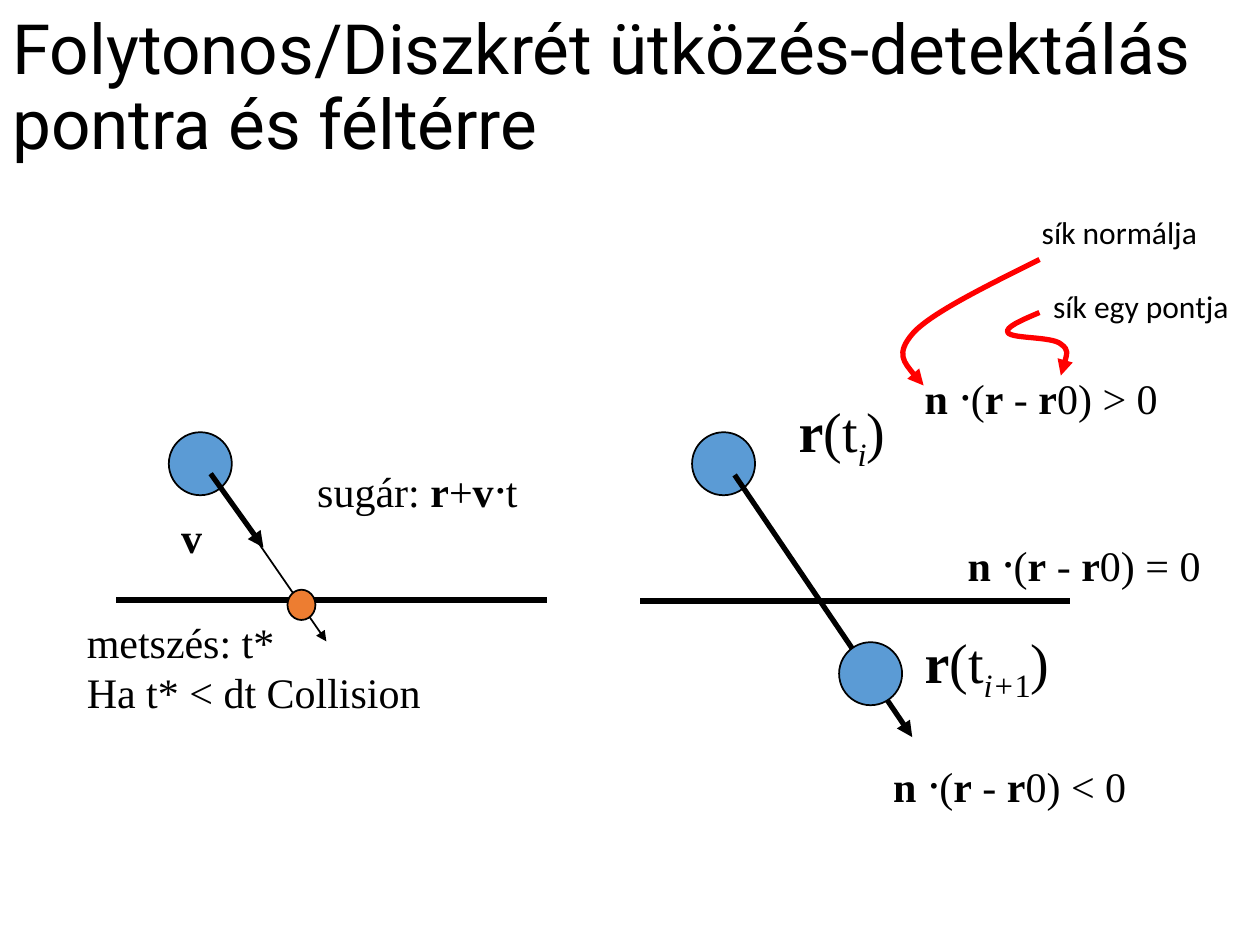
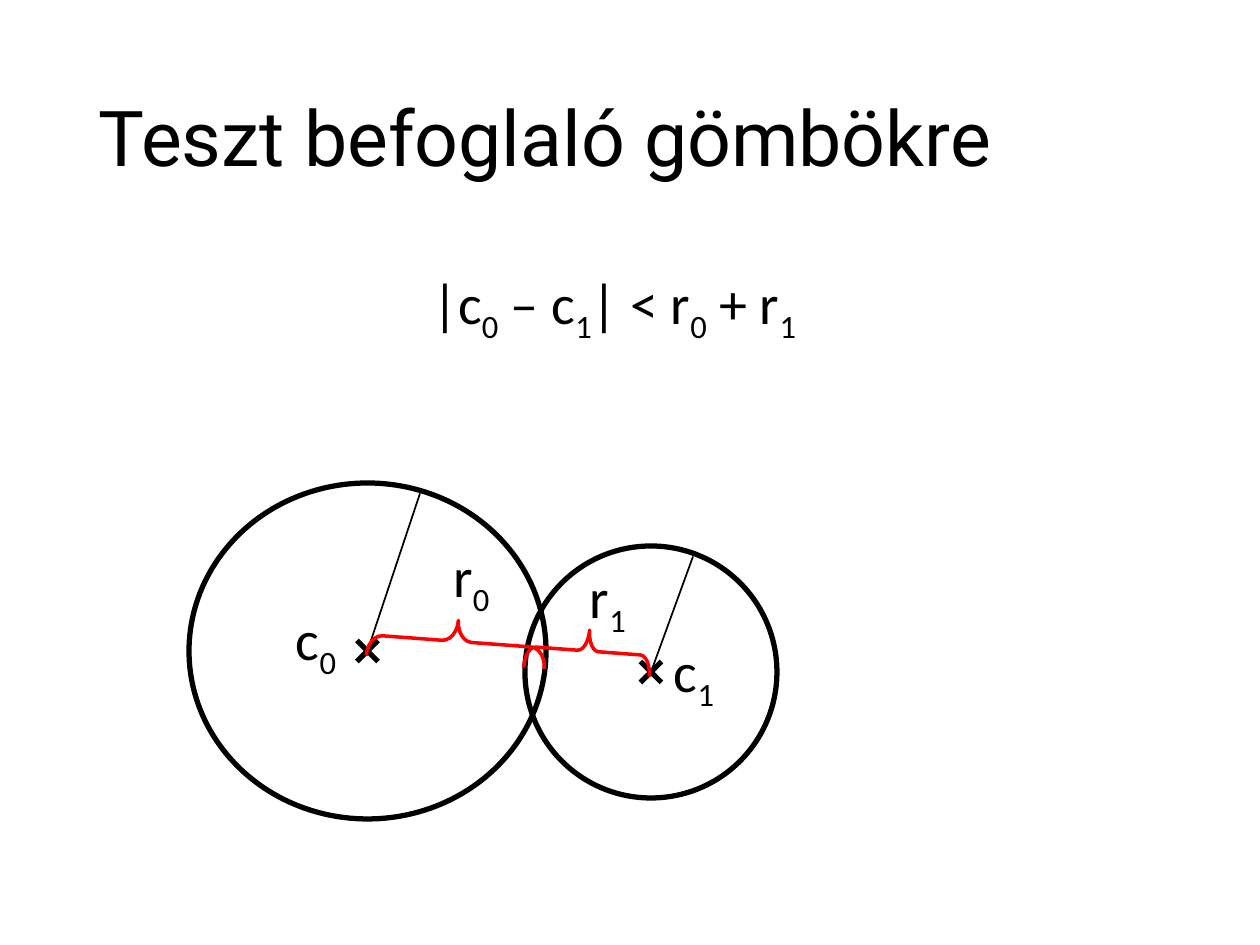
import pptx
import pptx.util
import pptx.dml.color
import pptx.enum.shapes
import pptx.enum.text
import pptx.oxml.ns
import lxml.etree

Pt = pptx.util.Pt
rgb = pptx.dml.color.RGBColor.from_string
qn = pptx.oxml.ns.qn
SHAPE = pptx.enum.shapes.MSO_SHAPE
STRAIGHT = pptx.enum.shapes.MSO_CONNECTOR.STRAIGHT

# Shared look
BLACK, RED, BLUE, ORANGE = "000000", "FF0000", "5B9BD5", "ED7D31"
TITLE, SANS, SERIF = "Roboto", "Calibri", "Times New Roman"
MARKS = {
    "": {},
    "b": {"bold": True},
    "i": {"italic": True},
    "dot": {"italic": True, "size": Pt(28)},
    "sub": {},
    "isub": {"italic": True},
}


def write(slide, box, rows, font, size, title=False):
    """Add a text box; each row is a list of (text, mark) runs."""
    frame = slide.shapes.add_textbox(*map(Pt, box)).text_frame
    frame.word_wrap = title
    if title:
        frame.vertical_anchor = pptx.enum.text.MSO_ANCHOR.MIDDLE
    else:
        frame.auto_size = pptx.enum.text.MSO_AUTO_SIZE.SHAPE_TO_FIT_TEXT
    for n, row in enumerate(rows):
        para = frame.add_paragraph() if n else frame.paragraphs[0]
        if title:
            para.line_spacing = 0.9
        for text, mark in row:
            run = para.add_run()
            run.text = text
            look = {"name": font, "size": Pt(size), "bold": False, "italic": False}
            for key, value in (look | MARKS[mark]).items():
                setattr(run.font, key, value)
            run.font.color.rgb = rgb(BLACK)
            if mark.endswith("sub"):
                run.font._element.set("baseline", "-25000")


def stroke(shape, color, width, arrow=False):
    """Set the outline, drop the shadow and add an arrowhead if wanted."""
    shape.line.color.rgb = rgb(color)
    shape.line.width = Pt(width)
    if arrow:
        line = shape.line._get_or_add_ln()
        lxml.etree.SubElement(line, qn("a:tailEnd"), type="triangle")
    props = shape._element.spPr
    if props.find(qn("a:effectLst")) is None:
        lxml.etree.SubElement(props, qn("a:effectLst"))


deck = pptx.Presentation()
deck.slide_width, deck.slide_height = Pt(720), Pt(540)
blank = deck.slide_layouts[6]

# Slide 1: point against half-space
slide = deck.slides.add_slide(blank)
shapes = slide.shapes
head = "Folytonos/Diszkrét ütközés-detektálás pontra és féltérre"
write(slide, (0, 6, 720, 90), [[(head, "")]], TITLE, 39.6, True)

# Balls (x, y, w, h, fill) and lines (x1, y1, x2, y2, width, arrow), back to front
parts = [
    ("ball", 395.5, 247, 36, 36, BLUE),
    ("line", 419.8, 271.4, 521.3, 421.2, 3, True),
    ("line", 365.8, 343.4, 611.3, 343.4, 3, False),
    ("ball", 479.5, 367, 36, 36, BLUE),
    ("ball", 96.5, 247, 36, 36, BLUE),
    ("line", 120.4, 270.7, 150.5, 312.8, 3, True),
    ("line", 66.4, 342.8, 312.5, 342.8, 3, False),
    ("line", 120.4, 270.7, 186.5, 366.5, 1, True),
    ("ball", 164.3, 337, 16, 17.3, ORANGE),
]
for kind, *spot, last in parts:
    if kind == "ball":
        ball = shapes.add_shape(SHAPE.OVAL, *map(Pt, spot))
        ball.fill.solid()
        ball.fill.fore_color.rgb = rgb(last)
        stroke(ball, BLACK, 1)
    else:
        *ends, width = spot
        stroke(shapes.add_connector(STRAIGHT, *map(Pt, ends)), BLACK, width, last)

# Plane equations
for x, y, sign in [(545.8, 301, "="), (521.3, 205.2, ">"), (503.3, 427, "<")]:
    row = [("n ", "b"), ("·", "dot"), ("(", ""), ("r", "b"), (" - ", ""),
           ("r", "b"), (f"0) {sign} 0", "")]
    write(slide, (x, y, 147.6, 41), [row], SERIF, 24)

# Labels
labels = [
    ((449.3, 223.2, 64.8, 45.4), 32, SERIF,
     [[("r", "b"), ("(t", ""), ("i", "isub"), (")", "")]]),
    ((521.3, 355, 89.3, 45.4), 32, SERIF,
     [[("r", "b"), ("(t", ""), ("i+", "isub"), ("1", "sub"), (")", "")]]),
    ((96.5, 288.7, 26.6, 36), 24, SERIF, [[("v", "b")]]),
    ((174.2, 258.5, 130.3, 41), 24, SERIF,
     [[("sugár: ", ""), ("r", "b"), ("+", ""), ("v", "b"), ("·", "dot"), ("t", "")]]),
    ((42.5, 348.5, 205.2, 64.8), 24, SERIF,
     [[("metszés: t*", "")], [("Ha t* < dt Collision", "")]]),
    ((588.2, 118, 111.6, 28.8), 18, SANS, [[("sík normálja", "")]]),
    ((594.7, 160.6, 125.3, 28.8), 18, SANS, [[("sík egy pontja", "")]]),
]
for box, size, font, rows in labels:
    write(slide, box, rows, font, size)

# Red curved arrows: a start, then three points for each Bézier piece
curves = [
    [(594, 148.3), (563.8, 163.4), (532.8, 178.6), (522, 190.1),
     (511.2, 202.3), (519.8, 211.7), (527.8, 220.3)],
    [(594, 178.6), (583.9, 182.9), (573.8, 187.2), (576, 190.1), (578.2, 193.7),
     (601.2, 192.2), (606.2, 196.6), (611.3, 200.2), (608.4, 207.4), (606.2, 214.6)],
]
for curve in curves:
    start, *rest = [(Pt(x), Pt(y)) for x, y in curve]
    pen = shapes.build_freeform(*start)
    pen.add_line_segments(rest, close=False)
    bend = pen.convert_to_shape()
    bend.fill.background()
    stroke(bend, RED, 3, True)
    legs = list(bend._element.iter(qn("a:lnTo")))
    for n in range(0, len(legs), 3):
        cubic = lxml.etree.Element(qn("a:cubicBezTo"))
        legs[n].addprevious(cubic)
        for leg in legs[n:n + 3]:
            cubic.append(leg[0])
            leg.getparent().remove(leg)

# Slide 2: bounding spheres
slide = deck.slides.add_slide(blank)
shapes = slide.shapes
write(slide, (49.5, 28.8, 621, 104.4), [[("Teszt befoglaló gömbökre", "")]],
      TITLE, 44, True)
test = [("|c", ""), ("0", "sub"), (" – c", ""), ("1", "sub"),
        ("| < r", ""), ("0", "sub"), (" + r", ""), ("1", "sub")]
write(slide, (240, 150, 240, 45.4), [test], SANS, 32)

# Centre, half width, half height, rim point, places of c and r
rings = [
    ((210, 372), 102, 96, (240, 282), (162, 342), (252, 306)),
    ((372, 384), 72, 72, (396, 318), (378, 360), (330, 318)),
]
arm = 6
for n, ((x, y), rx, ry, rim, c, r) in enumerate(rings):
    ring = shapes.add_shape(SHAPE.OVAL, *map(Pt, (x - rx, y - ry, 2 * rx, 2 * ry)))
    ring.fill.background()
    stroke(ring, BLACK, 3)
    for ends, width in [((x - arm, y - arm, x + arm, y + arm), 3),
                        ((x - arm, y + arm, x + arm, y - arm), 3),
                        ((x, y, *rim), 1)]:
        stroke(shapes.add_connector(STRAIGHT, *map(Pt, ends)), BLACK, width)
    for name, spot, width in [("c", c, 42.5), ("r", r, 36.7)]:
        write(slide, (*spot, width, 45.4), [[(name, ""), (str(n), "sub")]], SANS, 32)

# Radius braces
for box, curl in [((249, 315.5, 24, 102), 0.354), ((324, 336, 24, 72), 0.25)]:
    brace = shapes.add_shape(SHAPE.LEFT_BRACE, *map(Pt, box))
    brace.rotation = 94.3
    brace.adjustments[0] = curl
    brace.fill.background()
    stroke(brace, RED, 2)

deck.save("out.pptx")
